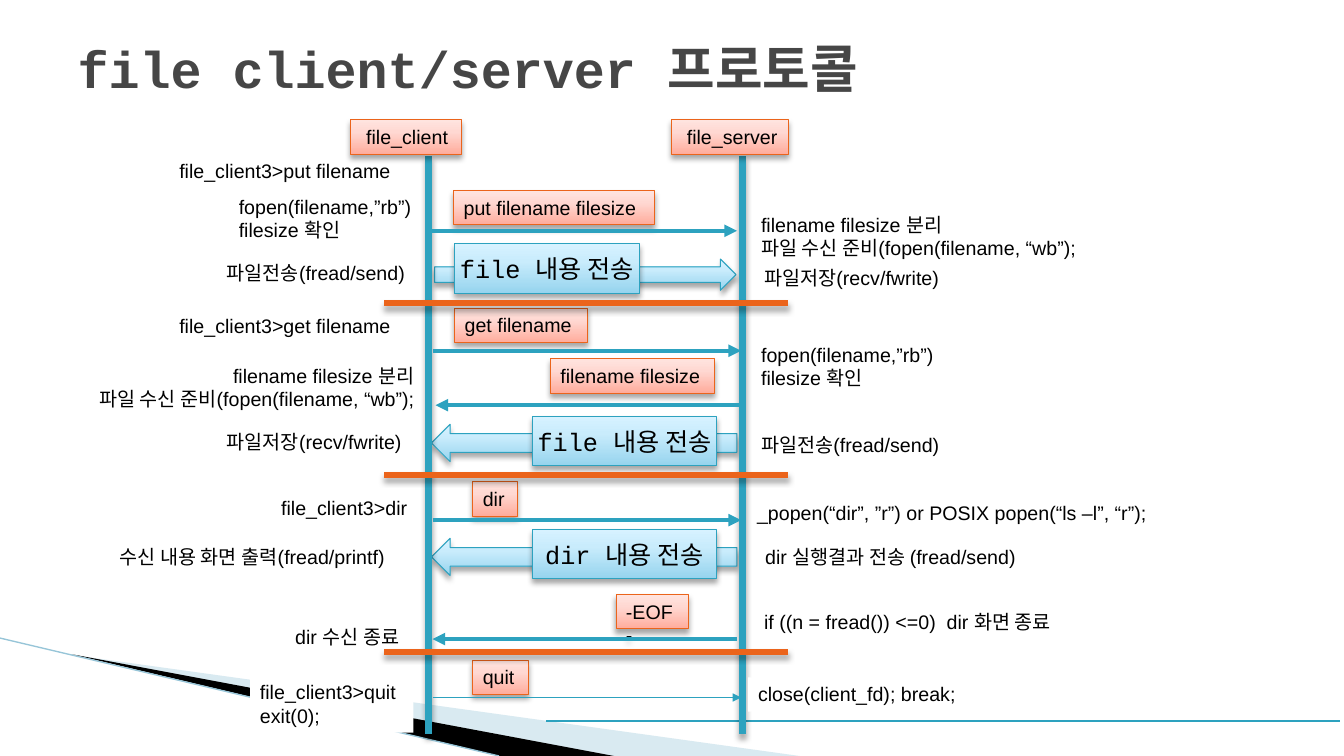
"""Build the slide that shows the file client/server protocol as a sequence diagram."""
from copy import deepcopy

from lxml.etree import SubElement
from pptx import Presentation
from pptx.dml.color import RGBColor
from pptx.enum.shapes import MSO_CONNECTOR, MSO_SHAPE
from pptx.enum.text import MSO_ANCHOR, MSO_AUTO_SIZE, PP_ALIGN
from pptx.oxml.ns import qn
from pptx.util import Inches, Pt

THEME = {
    "title": {"name": "Courier New", "size": Pt(36.9), "bold": True},
    "label": {"name": "Arial", "size": Pt(14)},
    "transfer": {"name": "Courier New", "size": Pt(18)},
    "title color": "464646", "label color": "000000", "transfer color": "000000",
    "blue": "2DA2BF", "orange": "EB641B", "edge": "97C5D8", "pale": "A0CBDC",
    "black": "000000", "white": "FFFFFF",
    "blue gradient": ((0, "96D4EE"), (0.65, "C9ECFC"), (1, "D7F2FF")),
    "orange gradient": ((0, "FFAC9C"), (0.65, "FFD8D2"), (1, "FFE4DF")),
}
LABEL_FRAME = {"word_wrap": False, "auto_size": MSO_AUTO_SIZE.SHAPE_TO_FIT_TEXT,
               "vertical_anchor": MSO_ANCHOR.TOP}
TRANSFER_FRAME = {"word_wrap": True, "vertical_anchor": MSO_ANCHOR.MIDDLE, "margin_left": 0,
                  "margin_right": 0, "margin_top": 0, "margin_bottom": 0}
CELL = Inches(0.1)
CLIENT, SERVER = 42.5, 73.6

presentation = Presentation()
presentation.slide_width, presentation.slide_height = Inches(13.33), Inches(7.5)
slide = presentation.slides.add_slide(presentation.slide_layouts[5])
shapes = slide.shapes
shadowed = []


def add_line(start, end, color, width, arrow=False):
    line = shapes.add_connector(
        MSO_CONNECTOR.STRAIGHT, *(int(value * CELL) for value in (*start, *end)))
    line.line.color.rgb = RGBColor.from_string(THEME[color])
    line.line.width = Pt(width)
    if arrow:
        SubElement(line.element.spPr.get_or_add_ln(), qn("a:tailEnd"), type="triangle")
    return line


def write_text(shape, lines, font, frame, alignment):
    for name, value in frame.items():
        setattr(shape.text_frame, name, value)
    shape.text_frame.text = "\n".join(lines)
    for paragraph in shape.text_frame.paragraphs:
        paragraph.alignment = alignment
        run_font = paragraph.runs[0].font
        for name, value in THEME[font].items():
            setattr(run_font, name, value)
        run_font.color.rgb = RGBColor.from_string(THEME[f"{font} color"])


title = shapes.title
title_area = {"left": 6.7, "top": 3, "width": 120, "height": 7.4}
for name, value in title_area.items():
    setattr(title, name, int(value * CELL))
write_text(title, ["file client/server 프로토콜"], "title",
           {"vertical_anchor": MSO_ANCHOR.MIDDLE, "auto_size": MSO_AUTO_SIZE.NONE}, PP_ALIGN.LEFT)

wedges = [
    ("pale", 40, [(7.3, 65), (79.3, 75), (60.8, 75)]),
    ("black", 100, [(7.1, 64.9), (60.9, 75), (49.6, 75)]),
]
for color, opacity, points in wedges:
    corners = [(int(x * CELL), int(y * CELL)) for x, y in points]
    builder = shapes.build_freeform(*corners[0])
    builder.add_line_segments(corners[1:], close=True)
    wedge = builder.convert_to_shape()
    wedge.fill.solid()
    wedge.fill.fore_color.rgb = RGBColor.from_string(THEME[color])
    wedge.line.fill.background()
    SubElement(next(wedge.element.spPr.iter(qn("a:srgbClr"))), qn("a:alpha"),
               val=str(opacity * 1000))
add_line((0, 63.3), (49.5, 75), "edge", 0.95)
add_line((54.2, 71.5), (132.9, 71.5), "blue", 1.5)

block_arrows = [
    (MSO_SHAPE.RIGHT_ARROW, 43.1, 25.7, 29.9, 3.1, False),
    (MSO_SHAPE.RIGHT_ARROW, 42.8, 42.1, 30.3, 3.7, True),
    (MSO_SHAPE.RIGHT_ARROW, 42.8, 53.4, 30.3, 3.7, True),
]
tags = [
    (34.8, 11.9, 11, " file_client"), (66.6, 11.9, 11.6, " file_server"),
    (45, 18.9, 19.9, "put filename filesize"), (45.1, 30.6, 13.2, "get filename"),
    (54.6, 35.6, 16.3, "filename filesize"), (46.9, 47.8, 4.4, "dir"),
    (61.1, 59, 7.2, "-EOF-"), (46.9, 65.5, 5.5, "quit"),
]
transfers = [(45.1, 24.2, "file 내용 전송"), (52.8, 41.3, "file 내용 전송"),
             (52.8, 52.5, "dir 내용 전송")]
boxes = [(*arrow, "blue", None) for arrow in block_arrows]
boxes += [(MSO_SHAPE.RECTANGLE, x, y, width, 3.4, False, "orange", text)
          for x, y, width, text in tags]
boxes += [(MSO_SHAPE.RECTANGLE, x, y, 18.3, 4.9, False, "blue", text)
          for x, y, text in transfers]

for kind, x, y, width, height, flipped, color, text in boxes:
    if text == tags[0][3]:
        shadowed += [add_line((x_life, 15.5), (x_life, 72.8), "blue", 5)
                     for x_life in (CLIENT, SERVER)]
    box = shapes.add_shape(kind, *(int(value * CELL) for value in (x, y, width, height)))
    box.fill.gradient()
    box.fill.gradient_angle = 90
    stop_list = next(box.element.spPr.iter(qn("a:gsLst")))
    stop_list.insert(1, deepcopy(stop_list[0]))
    for stop, (position, stop_color) in zip(box.fill.gradient_stops, THEME[f"{color} gradient"]):
        stop.position = position
        stop.color.rgb = RGBColor.from_string(stop_color)
    box.line.color.rgb = RGBColor.from_string(THEME[color])
    box.line.width = Pt(0.75)
    if flipped:
        box.element.spPr.get_or_add_xfrm().set("flipH", "1")
    if text and color == "orange":
        write_text(box, [text], "label", LABEL_FRAME, PP_ALIGN.LEFT)
    elif text:
        write_text(box, [text], "transfer", TRANSFER_FRAME, PP_ALIGN.CENTER)
    shadowed.append(box)

for y in (30.1, 47.1, 64.7):
    shadowed.append(add_line((38.1, y), (78.2, y), "orange", 4.33))
messages = [(42.5, 73.1, 22.9, 3), (42.9, 73.5, 34.8, 3), (73.4, 43.2, 40.2, 3),
            (42.9, 73.5, 51.6, 3), (73.1, 42.9, 63.4, 3), (42.9, 73.5, 69.2, 0.75)]
for start, end, y, width in messages:
    add_line((start, y), (end, y), "blue", width, arrow=True)

open_lines = ["fopen(filename,”rb”)", "filesize 확인"]
prepare_lines = ["filename filesize 분리", "파일 수신 준비(fopen(filename, “wb”);"]
send_lines, save_lines = ["파일전송(fread/send)"], ["파일저장(recv/fwrite)"]
labels = [
    (16.8, 15.3, 24, ["file_client3>put filename"]),
    (22.7, 18.8, 20.2, open_lines),
    (74.5, 20.6, 35.3, prepare_lines),
    (21.5, 25.4, 20.6, send_lines),
    (74.8, 25.9, 20.5, save_lines),
    (16.8, 30.7, 23.9, ["file_client3>get filename"]),
    (74.5, 33.5, 20.2, open_lines),
    (6.8, 35.6, 35.3, prepare_lines),
    (21.5, 42.2, 20.5, save_lines),
    (74.5, 42.5, 20.6, send_lines),
    (26.9, 48.7, 15.1, ["file_client3>dir"]),
    (74.1, 49.2, 41.8, ["_popen(“dir”, ”r”) or POSIX popen(“ls –l”, “r”);"]),
    (10.9, 53.6, 31.2, ["수신 내용 화면 출력(fread/printf)"]),
    (74.9, 53.6, 28.9, ["dir 실행결과 전송 (fread/send)"]),
    (74.8, 60, 33.2, ["if ((n = fread()) <=0)  dir 화면 종료"]),
    (28.3, 61.5, 13.6, ["dir 수신 종료"]),
    (24.8, 67, 16.2, ["file_client3>quit", "exit(0);"]),
    (74.2, 67.2, 21.7, ["close(client_fd); break;"]),
]
for x, y, width, lines in labels:
    height = 1.1 + 2.3 * len(lines)
    label = shapes.add_textbox(*(int(value * CELL) for value in (x, y, width, height)))
    right_aligned = lines is prepare_lines and x < CLIENT
    write_text(label, lines, "label", LABEL_FRAME,
               PP_ALIGN.RIGHT if right_aligned else PP_ALIGN.LEFT)
    if y >= 67:
        label.fill.solid()
        label.fill.fore_color.rgb = RGBColor.from_string(THEME["white"])

shadow_format = {"blurRad": str(Pt(4)), "dist": str(Pt(3)), "dir": "5400000", "rotWithShape": "0"}
shadow_elements = [shape.element for shape in shadowed]
for shape in shapes:
    if shape.is_placeholder:
        continue
    effects = SubElement(shape.element.spPr, qn("a:effectLst"))
    if shape.element in shadow_elements:
        shadow = SubElement(effects, qn("a:outerShdw"), shadow_format)
        shadow_color = SubElement(shadow, qn("a:srgbClr"), val=THEME["black"])
        SubElement(shadow_color, qn("a:alpha"), val="35000")

presentation.save("out.pptx")
